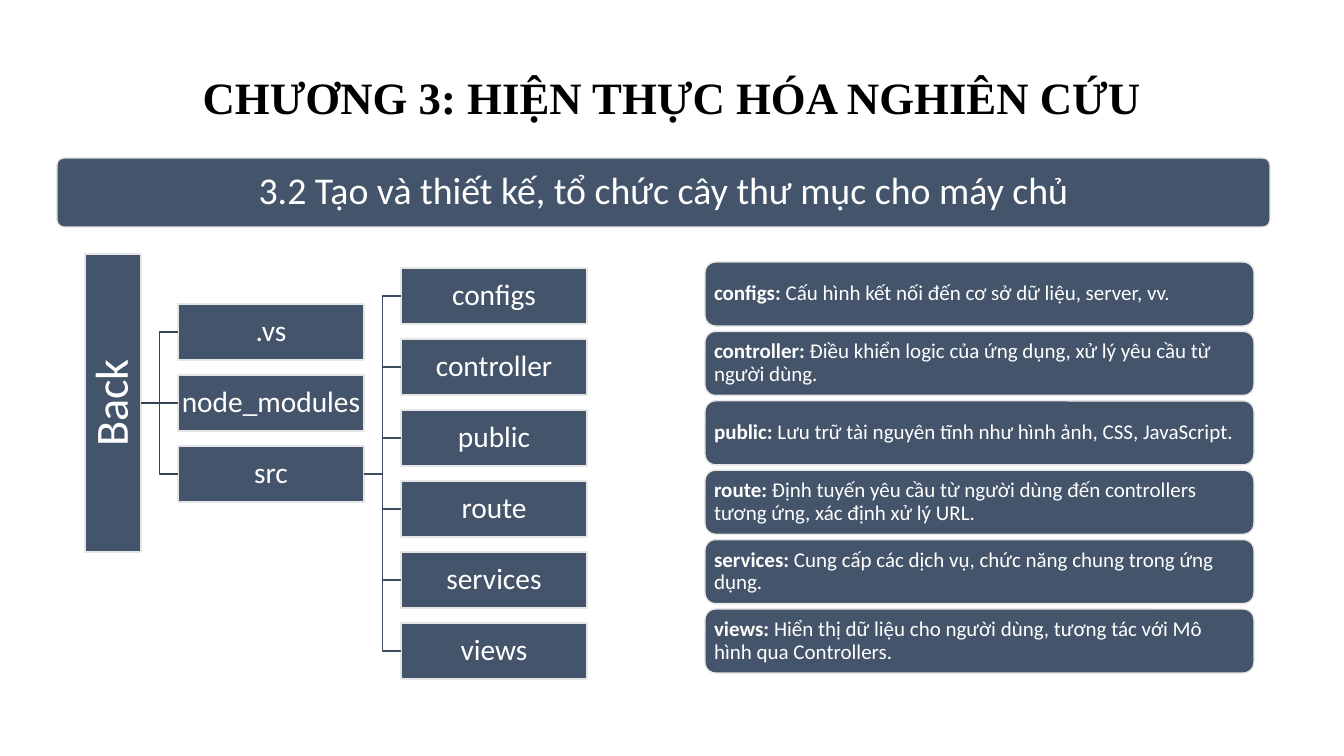
"""Build the slide on the server's folder tree."""
from lxml import etree
from pptx import Presentation
from pptx.dml.color import RGBColor
from pptx.enum.shapes import MSO_CONNECTOR, MSO_SHAPE
from pptx.enum.text import MSO_ANCHOR, PP_ALIGN
from pptx.oxml.ns import qn
from pptx.util import Pt

TITLE = "CHƯƠNG 3: HIỆN THỰC HÓA NGHIÊN CỨU"
HEADING = "3.2 Tạo và thiết kế, tổ chức cây thư mục cho máy chủ"
ROOT = "Back"
FOLDERS = [".vs", "node_modules", "src"]
SUBFOLDERS = [
    ("configs", "Cấu hình kết nối đến cơ sở dữ liệu, server, vv."),
    ("controller", "Điều khiển logic của ứng dụng, xử lý yêu cầu từ người dùng."),
    ("public", "Lưu trữ tài nguyên tĩnh như hình ảnh, CSS, JavaScript."),
    ("route", "Định tuyến yêu cầu từ người dùng đến controllers tương ứng, xác định xử lý URL."),
    ("services", "Cung cấp các dịch vụ, chức năng chung trong ứng dụng."),
    ("views", "Hiển thị dữ liệu cho người dùng, tương tác với Mô hình qua Controllers."),
]
NAVY, PALE, WHITE, BLACK = "44546A", "E7E6E6", "FFFFFF", "000000"
ROOT_LINE, FOLDER_LINE = "364355", "3E4C60"
PX = 914400 / 100.8
NODE_W, NODE_H, NODE_STEP = 186, 56, 71
FOLDER_X, FOLDER_Y = 178, 304
SUB_X, SUB_Y = 401, 268
CARD_X, CARD_Y, CARD_W, CARD_H, CARDS_SPAN = 705, 262, 549, 64, 347


def emu(*lengths):
    return [round(n * PX) for n in lengths]


def rgb(color):
    return RGBColor.from_string(color)


def write(sp, runs, size, color=WHITE, font="Calibri", align=PP_ALIGN.CENTER,
          anchor=MSO_ANCHOR.MIDDLE, inset=1):
    tf = sp.text_frame
    tf.word_wrap = True
    tf.vertical_anchor = anchor
    (tf.margin_left, tf.margin_top,
     tf.margin_right, tf.margin_bottom) = emu(inset, inset, inset, inset)
    p = tf.paragraphs[0]
    p.alignment = align
    p.line_spacing = 0.9
    p.font.size = Pt(size)
    p.font.name = font
    p.font.color.rgb = rgb(color)
    for text, bold in runs:
        r = p.add_run()
        r.text = text
        r.font.bold = bold


def add_box(s, x, y, w, h, kind=MSO_SHAPE.RECTANGLE):
    sp = s.shapes.add_shape(kind, *emu(x, y, w, h))
    sp.shadow.inherit = False
    sp.fill.solid()
    sp.fill.fore_color.rgb = rgb(NAVY)
    sp.line.color.rgb = rgb(PALE)
    sp.line.width = Pt(1)
    return sp


def add_column(s, names, x, y):
    boxes = []
    for i, name in enumerate(names):
        sp = add_box(s, x, y + i * NODE_STEP, NODE_W, NODE_H)
        write(sp, [(name, False)], 21)
        boxes.append(sp)
    return boxes


def style_line(sp, color):
    sp.line.color.rgb = rgb(color)
    sp.line.width = Pt(1)


def link(s, parent, child, color):
    x1, y1 = parent.left + parent.width, parent.top + parent.height // 2
    x2, y2 = child.left, child.top + child.height // 2
    if y1 == y2:
        sp = s.shapes.add_connector(MSO_CONNECTOR.STRAIGHT, x1, y1, x2, y2)
        sp.begin_connect(parent, 3)
        sp.end_connect(child, 1)
        etree.SubElement(sp._element.spPr, qn("a:effectLst"))
    else:
        mid = (x1 + x2) // 2
        path = s.shapes.build_freeform(x1, y1)
        path.add_line_segments([(mid, y1), (mid, y2), (x2, y2)], close=False)
        sp = path.convert_to_shape()
        sp.fill.background()
        sp.shadow.inherit = False
    style_line(sp, color)


def main():
    prs = Presentation()
    prs.slide_width, prs.slide_height = emu(1344, 756)
    s = prs.slides.add_slide(prs.slide_layouts[6])

    title = s.shapes.add_textbox(*emu(168, 77, 1008, 52))
    write(title, [(TITLE, True)], 32, BLACK, "Times New Roman",
          anchor=MSO_ANCHOR.BOTTOM, inset=5)

    banner = add_box(s, 57, 158, 1213, 69, MSO_SHAPE.ROUNDED_RECTANGLE)
    banner.adjustments[0] = 0.1
    write(banner, [(HEADING, False)], 27, inset=11)

    root = add_box(s, 85, 254, 56, 298)
    write(root, [(ROOT, False)], 33, inset=2)
    root.text_frame._txBody.bodyPr.set("vert", "vert270")
    folders = add_column(s, FOLDERS, FOLDER_X, FOLDER_Y)
    subfolders = add_column(s, [name for name, _ in SUBFOLDERS], SUB_X, SUB_Y)
    for folder in folders:
        link(s, root, folder, ROOT_LINE)
    for subfolder in subfolders:
        link(s, folders[-1], subfolder, FOLDER_LINE)

    step = CARDS_SPAN / (len(SUBFOLDERS) - 1)
    for i, (name, role) in enumerate(SUBFOLDERS):
        card = add_box(s, CARD_X, CARD_Y + i * step, CARD_W, CARD_H,
                       MSO_SHAPE.ROUNDED_RECTANGLE)
        write(card, [(f"{name}:", True), (f" {role}", False)], 15,
              align=PP_ALIGN.LEFT, inset=6)

    prs.save("out.pptx")


if __name__ == "__main__":
    main()
